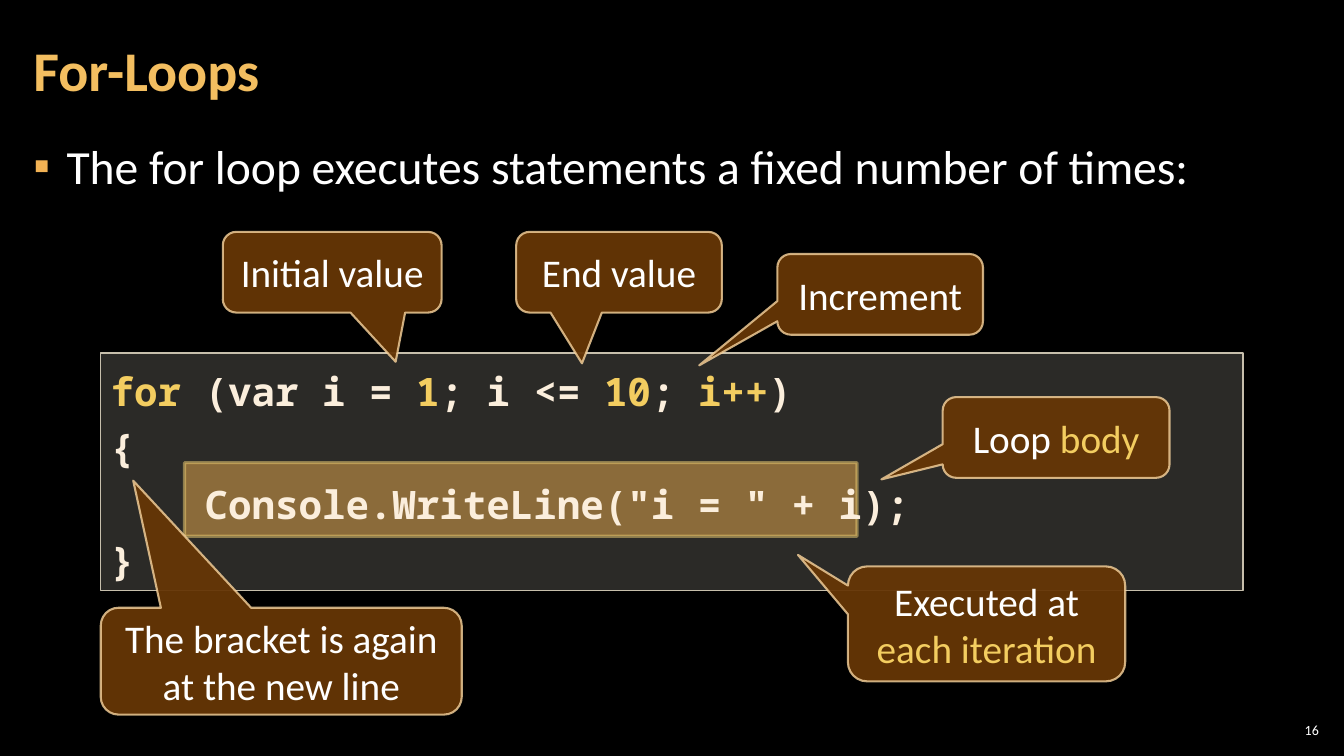
from dataclasses import dataclass

import pptx
import pptx.dml.color
import pptx.enum.shapes
import pptx.enum.text
import pptx.oxml
import pptx.oxml.ns
import pptx.util

RGBColor = pptx.dml.color.RGBColor
Shapes = pptx.enum.shapes.MSO_SHAPE
Align = pptx.enum.text.PP_ALIGN
Anchor = pptx.enum.text.MSO_ANCHOR
AutoSize = pptx.enum.text.MSO_AUTO_SIZE

BLACK = RGBColor(0x00, 0x00, 0x00)
WHITE = RGBColor(0xFF, 0xFF, 0xFF)
TITLE_GOLD = RGBColor(0xF3, 0xBE, 0x60)
BULLET_GOLD = RGBColor(0xF2, 0xB2, 0x54)
ACCENT = RGBColor(0xF3, 0xCD, 0x60)
ORANGE = RGBColor(0xF0, 0xA2, 0x2E)
CREAM = RGBColor(0xFB, 0xEE, 0xDC)
PANEL_FILL = RGBColor(0xD9, 0xD5, 0xC7)
PANEL_LINE = RGBColor(0xC7, 0xBF, 0xAC)
BROWN = RGBColor(0x66, 0x36, 0x06)
CALLOUT_LINE = RGBColor(0xF8, 0xD4, 0x9E)

TEXT_FONT = "Calibri"
CODE_FONT = "Noto Sans Mono"
WIDTH = pptx.util.Inches(13.33)
HEIGHT = pptx.util.Inches(7.5)


@dataclass(frozen=True)
class Box:
    """Percentages of the slide's width and height."""

    left: float
    top: float
    width: float
    height: float

    def lengths(self) -> tuple[int, int, int, int]:
        return (
            int(WIDTH * self.left / 100),
            int(HEIGHT * self.top / 100),
            int(WIDTH * self.width / 100),
            int(HEIGHT * self.height / 100),
        )


@dataclass(frozen=True)
class Style:
    fill: RGBColor
    fill_opacity: int
    line: RGBColor
    line_opacity: int
    line_width: float


@dataclass(frozen=True)
class Phrase:
    text: str
    accented: bool = False


@dataclass(frozen=True)
class Callout:
    box: Box
    tip_x: float
    tip_y: float
    phrases: tuple[Phrase, ...]


HIGHLIGHT_STYLE = Style(ORANGE, 50, ACCENT, 50, 2.25)
PANEL_STYLE = Style(PANEL_FILL, 20, PANEL_LINE, 100, 1)
CALLOUT_STYLE = Style(BROWN, 95, CALLOUT_LINE, 80, 1.5)

CODE = (
    (Phrase("for", True), Phrase(" (var i = "), Phrase("1", True), Phrase("; i <= "),
     Phrase("10", True), Phrase("; "), Phrase("i++", True), Phrase(")")),
    (Phrase("{"),),
    (Phrase('    Console.WriteLine("i = " + i);'),),
    (Phrase("}"),),
)

CALLOUTS = (
    Callout(Box(7.5, 80.4, 26.86, 14.13), -0.41, -1.69,
            (Phrase("The bracket is again at the new line"),)),
    Callout(Box(16.58, 30.67, 16.28, 10.67), 0.29, 1.11, (Phrase("Initial value"),)),
    Callout(Box(38.41, 30.67, 15.3, 10.67), -0.18, 1.13, (Phrase("End value"),)),
    Callout(Box(70.14, 52.53, 16.88, 10.67), -0.77, 0.52,
            (Phrase("Loop"), Phrase(" body", True))),
    Callout(Box(63.09, 74.93, 20.63, 15.2), -0.68, -0.6,
            (Phrase("Executed at "), Phrase("each iteration", True))),
    Callout(Box(57.84, 33.6, 15.3, 10.67), -0.88, 0.88, (Phrase("Increment"),)),
)


def set_font(paragraph, name: str, size: int, color: RGBColor, bold: bool = False) -> None:
    paragraph.font.name = name
    paragraph.font.size = pptx.util.Pt(size)
    paragraph.font.bold = bold
    paragraph.font.color.rgb = color


def add_phrases(paragraph, phrases: tuple[Phrase, ...]) -> None:
    for phrase in phrases:
        run = paragraph.add_run()
        run.text = phrase.text
        if phrase.accented:
            run.font.color.rgb = ACCENT


def set_opacity(shape, color_query: str, percent: int) -> None:
    if percent < 100:
        color = shape.element.spPr.xpath(color_query)[0]
        alpha = pptx.oxml.parse_xml(
            f'<a:alpha {pptx.oxml.ns.nsdecls("a")} val="{percent * 1000}"/>'
        )
        color.append(alpha)


def add_styled_shape(slide, kind: Shapes, box: Box, style: Style):
    shape = slide.shapes.add_shape(kind, *box.lengths())
    shape.shadow.inherit = False
    shape.fill.solid()
    shape.fill.fore_color.rgb = style.fill
    shape.line.color.rgb = style.line
    shape.line.width = pptx.util.Pt(style.line_width)
    set_opacity(shape, "./a:solidFill/a:srgbClr", style.fill_opacity)
    set_opacity(shape, "./a:ln/a:solidFill/a:srgbClr", style.line_opacity)
    return shape


def place_text(shape, box: Box, text: str, anchor: Anchor, side: float):
    shape.left, shape.top, shape.width, shape.height = box.lengths()
    frame = shape.text_frame
    frame.word_wrap = True
    frame.auto_size = AutoSize.NONE
    frame.vertical_anchor = anchor
    frame.margin_left = frame.margin_right = pptx.util.Inches(side)
    frame.margin_top = frame.margin_bottom = pptx.util.Inches(0.04)
    paragraph = frame.paragraphs[0]
    paragraph.text = text
    return paragraph


def add_title(slide) -> None:
    box = Box(1.58, 1.6, 78.55, 16.13)
    paragraph = place_text(slide.shapes.title, box, "For-Loops", Anchor.MIDDLE, 0.12)
    paragraph.alignment = Align.LEFT
    paragraph.line_spacing = 0.9
    set_font(paragraph, TEXT_FONT, 40, TITLE_GOLD, bold=True)


def add_body(slide) -> None:
    box = Box(1.58, 16.8, 96.85, 81.2)
    text = "The for loop executes statements a fixed number of times:"
    paragraph = place_text(slide.placeholders[1], box, text, Anchor.TOP, 0.12)
    paragraph.line_spacing = 1.1
    paragraph.space_before = pptx.util.Pt(0)
    paragraph.space_after = pptx.util.Pt(6)
    properties = paragraph._p.get_or_add_pPr()
    indent = pptx.util.Inches(0.33)
    properties.set("marL", str(indent))
    properties.set("indent", str(-indent))
    namespace = pptx.oxml.ns.nsdecls("a")
    for xml in (
        f'<a:buClr {namespace}><a:srgbClr val="{BULLET_GOLD}"/></a:buClr>',
        f'<a:buChar {namespace} char="▪"/>',
    ):
        properties.append(pptx.oxml.parse_xml(xml))
    set_font(paragraph, TEXT_FONT, 34, WHITE)


def add_slide_number(slide) -> None:
    box = Box(94.9, 95.2, 3.53, 2.8)
    shape = slide.shapes.add_textbox(*box.lengths())
    paragraph = place_text(shape, box, "16", Anchor.MIDDLE, 0.04)
    paragraph.alignment = Align.RIGHT
    set_font(paragraph, TEXT_FONT, 10, WHITE)


def add_code(slide) -> None:
    panel = add_styled_shape(slide, Shapes.RECTANGLE, Box(7.5, 46.67, 85, 31.47), PANEL_STYLE)
    frame = panel.text_frame
    frame.vertical_anchor = Anchor.TOP
    frame.auto_size = AutoSize.SHAPE_TO_FIT_TEXT
    for index, phrases in enumerate(CODE):
        paragraph = frame.add_paragraph() if index else frame.paragraphs[0]
        paragraph.alignment = Align.LEFT
        paragraph.line_spacing = 1.2
        set_font(paragraph, CODE_FONT, 28, CREAM, bold=True)
        add_phrases(paragraph, phrases)


def add_callout(slide, callout: Callout) -> None:
    shape = add_styled_shape(
        slide, Shapes.ROUNDED_RECTANGULAR_CALLOUT, callout.box, CALLOUT_STYLE
    )
    shape.adjustments[0] = callout.tip_x
    shape.adjustments[1] = callout.tip_y
    shape.text_frame.vertical_anchor = Anchor.MIDDLE
    paragraph = shape.text_frame.paragraphs[0]
    paragraph.alignment = Align.CENTER
    set_font(paragraph, TEXT_FONT, 28, WHITE)
    add_phrases(paragraph, callout.phrases)


def main() -> None:
    presentation = pptx.Presentation()
    presentation.slide_width = WIDTH
    presentation.slide_height = HEIGHT
    slide = presentation.slides.add_slide(presentation.slide_layouts[1])
    slide.background.fill.solid()
    slide.background.fill.fore_color.rgb = BLACK
    add_title(slide)
    add_body(slide)
    add_slide_number(slide)
    add_styled_shape(slide, Shapes.RECTANGLE, Box(13.73, 61.2, 50.04, 9.73), HIGHLIGHT_STYLE)
    add_code(slide)
    for callout in CALLOUTS:
        add_callout(slide, callout)
    presentation.save("out.pptx")


if __name__ == "__main__":
    main()
